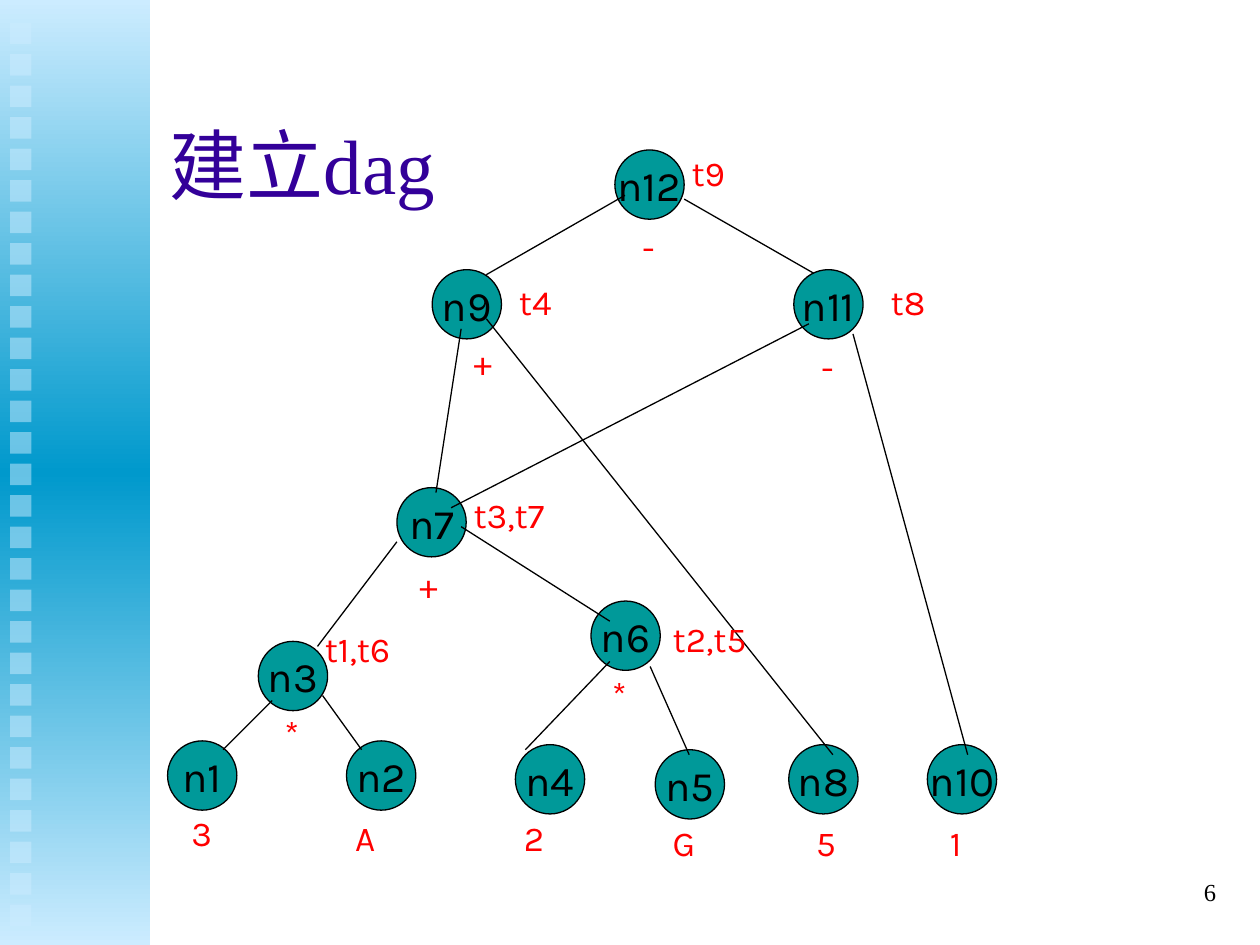
"""Build a slide that shows a DAG of expression nodes."""
from copy import deepcopy

from pptx import Presentation
from pptx.dml.color import RGBColor
from pptx.enum.shapes import MSO_CONNECTOR as LINK, MSO_SHAPE as SHAPE
from pptx.enum.text import MSO_ANCHOR as ANCHOR, MSO_AUTO_SIZE as FIT, PP_ALIGN as ALIGN
from pptx.oxml.ns import qn
from pptx.util import Emu, Pt

SCALE = 9144
NODE_SIZE = 55
LABEL_HEIGHT = 44

NODES = {
    "n1": (133, 588), "n2": (275, 588), "n3": (205, 509), "n4": (409, 591),
    "n5": (520, 595), "n6": (469, 477), "n7": (315, 387), "n8": (626, 591),
    "n9": (343, 214), "n10": (736, 591), "n11": (630, 214), "n12": (488, 119),
}
EDGES = [
    (177, 595, 216, 556), (287, 595, 256, 552), (252, 513, 315, 430),
    (366, 418, 484, 493), (417, 595, 484, 525), (547, 599, 516, 529),
    (346, 391, 366, 261), (661, 599, 386, 253), (358, 403, 642, 257),
    (677, 265, 768, 599), (386, 218, 496, 155), (646, 217, 543, 158),
]
LEAVES = [("3", 142, 639, 39), ("A", 272, 643, 67), ("2", 406, 643, 67),
          ("G", 524, 647, 67), ("5", 638, 647, 67), ("1", 744, 647, 67)]
OPERATORS = [("*", 216, 560, 39), ("*", 476, 529, 67), ("+", 323, 442, 39),
             ("+", 366, 265, 39), ("-", 642, 269, 39), ("-", 500, 174, 67)]
VARIABLES = [("t1,t6", 248, 493, 83), ("t2,t5", 524, 485, 98), ("t3,t7", 366, 387, 98),
             ("t4", 402, 218, 67), ("t8", 697, 218, 67), ("t9", 539, 115, 67)]


def px(length):
    return Emu(length * SCALE)


def color(code):
    return RGBColor.from_string(code)


def assign(target, values):
    for name, value in values.items():
        setattr(target, name, value)


class DagSlide:
    """Holds the style and the current slide."""

    teal, black, red, violet = "009999", "000000", "FF0000", "330099"
    pale, blue = "CCECFF", "0099CC"
    line_width = Pt(0.75)
    node_font = {"name": "Karla", "size": Pt(24)}
    label_font = {"name": "Karla", "size": Pt(20)}
    title_font = {"name": "Times New Roman", "size": Pt(44)}
    number_font = {"name": "Times New Roman", "size": Pt(14)}

    def __init__(self, slide):
        self.shapes = slide.shapes

    def block(self, preset, *box):
        block = self.shapes.add_shape(preset, *map(px, box))
        block.shadow.inherit = False
        block.line.fill.background()
        return block

    def wording(self, shape, words, font, ink, frame, paragraph):
        assign(shape.text_frame, frame)
        line = shape.text_frame.paragraphs[0]
        assign(line, paragraph)
        run = line.add_run()
        run.text = words
        assign(run.font, font)
        run.font.color.rgb = color(ink)

    def band(self, *box):
        band = self.block(SHAPE.RECTANGLE, *box)
        band.fill.gradient()
        band.fill.gradient_angle = 90
        stop_list = band._element.spPr.find(qn("a:gradFill")).find(qn("a:gsLst"))
        stop_list.insert(1, deepcopy(stop_list[0]))
        tones = (self.pale, self.blue, self.pale)
        for stop, position, tone in zip(band.fill.gradient_stops, (0, 0.5, 1), tones):
            stop.position = position
            stop.color.rgb = color(tone)

    def tile(self, *box):
        tile = self.block(SHAPE.RECTANGLE, *box)
        tile.fill.solid()
        tile.fill.fore_color.rgb = color(self.pale)
        tone = next(tile._element.spPr.iter(qn("a:srgbClr")))
        tone.append(tone.makeelement(qn("a:alpha"), {"val": "50000"}))

    def node(self, name, left, top):
        node = self.block(SHAPE.FLOWCHART_CONNECTOR, left, top, NODE_SIZE, NODE_SIZE)
        node.fill.solid()
        node.fill.fore_color.rgb = color(self.teal)
        node.line.color.rgb = color(self.black)
        node.line.width = self.line_width
        self.wording(node, name, self.node_font, self.black,
                     {"word_wrap": False, "vertical_anchor": ANCHOR.MIDDLE},
                     {"alignment": ALIGN.CENTER})

    def edge(self, *ends):
        edge = self.shapes.add_connector(LINK.STRAIGHT, *map(px, ends))
        edge.line.color.rgb = color(self.black)
        edge.line.width = self.line_width
        properties = edge._element.spPr
        properties.append(properties.makeelement(qn("a:effectLst"), {}))

    def label(self, words, left, top, width):
        label = self.shapes.add_textbox(*map(px, (left, top, width, LABEL_HEIGHT)))
        self.wording(label, words, self.label_font, self.red,
                     {"word_wrap": True, "auto_size": FIT.SHAPE_TO_FIT_TEXT},
                     {"space_before": Pt(12.5)})

    def caption(self, words, box, font, ink, alignment):
        caption = self.shapes.add_textbox(*map(px, box))
        self.wording(caption, words, font, ink,
                     {"word_wrap": True, "vertical_anchor": ANCHOR.MIDDLE},
                     {"alignment": alignment})


def main():
    deck = Presentation()
    assign(deck, {"slide_width": px(1000), "slide_height": px(750)})
    dag = DagSlide(deck.slides.add_slide(deck.slide_layouts[6]))

    dag.band(0, 0, 119, 750)
    for row in range(29):
        dag.tile(8, 18 + 25 * row, 17, 17)
    dag.caption("建立dag", (125, 67, 850, 125), dag.title_font, dag.violet, ALIGN.LEFT)
    for name, corner in NODES.items():
        dag.node(name, *corner)
    for ends in EDGES:
        dag.edge(*ends)
    for label in LEAVES + OPERATORS + VARIABLES:
        dag.label(*label)
    dag.caption("6", (767, 683, 208, 50), dag.number_font, dag.black, ALIGN.RIGHT)

    deck.save("out.pptx")


if __name__ == "__main__":
    main()
